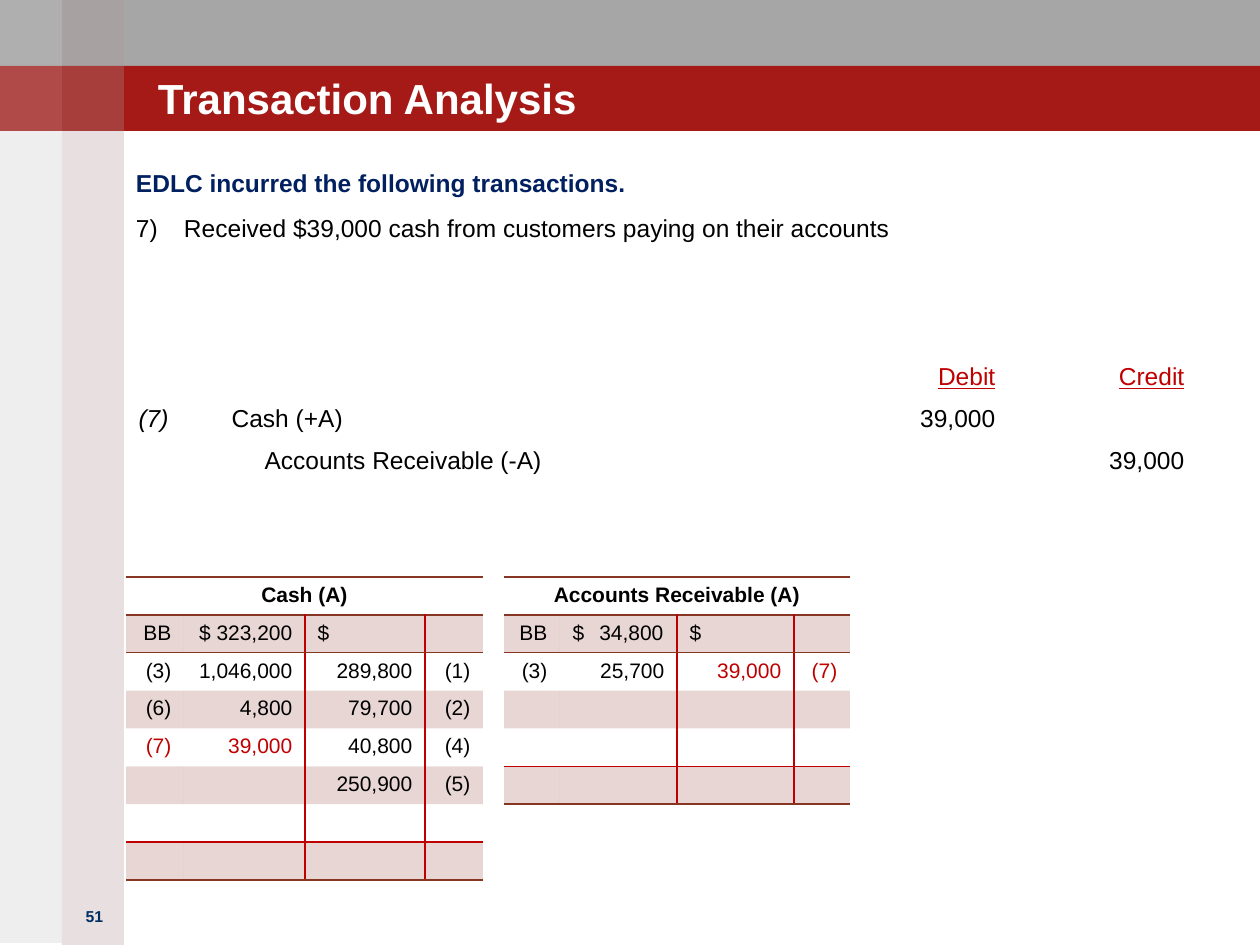
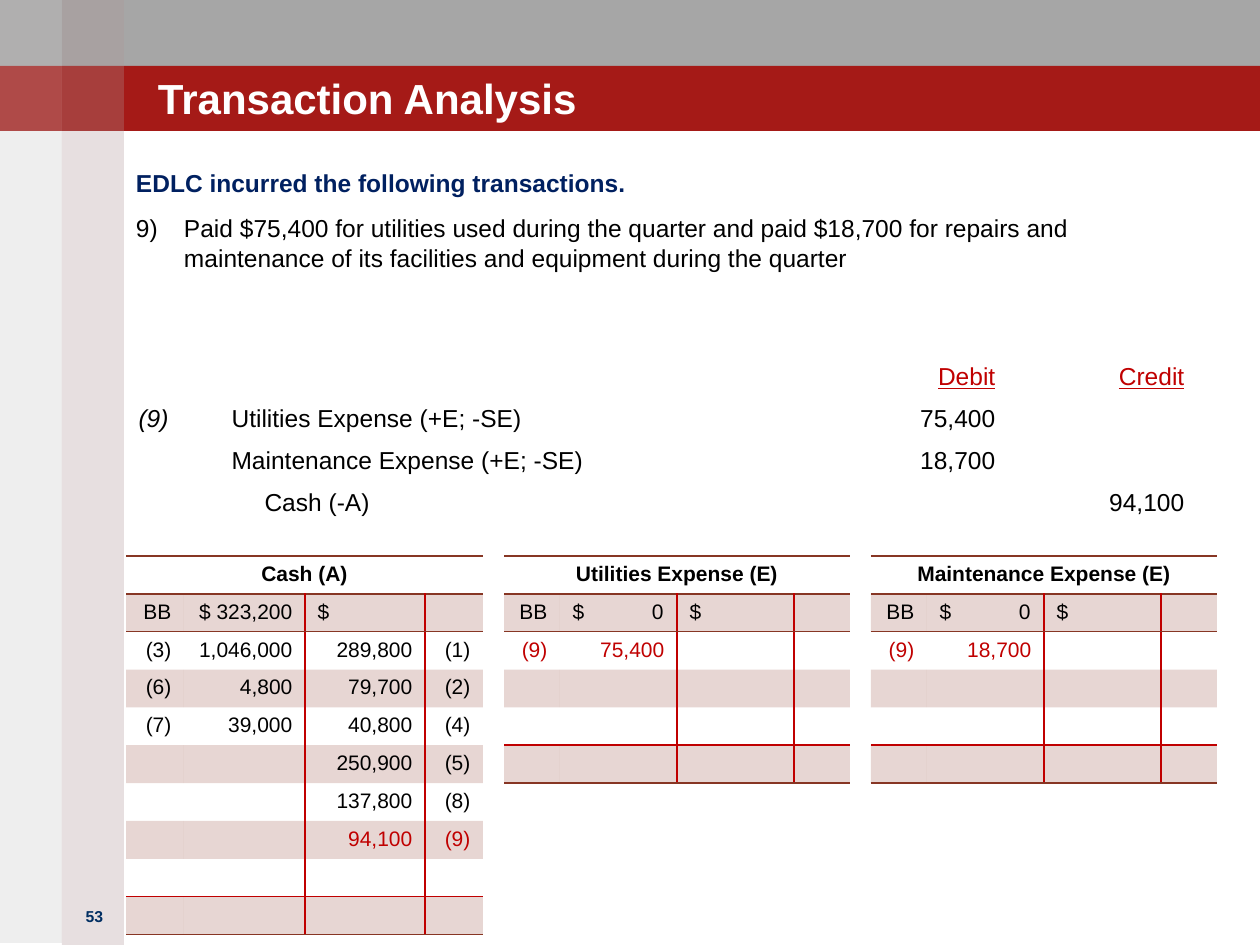
"""Builds two transaction-analysis slides with journal entries and T-accounts."""
from itertools import zip_longest

from lxml.etree import SubElement
from pptx import Presentation
from pptx.dml.color import RGBColor
from pptx.enum.shapes import MSO_SHAPE as Shape
from pptx.enum.text import MSO_ANCHOR as Anchor, MSO_AUTO_SIZE as AutoSize, PP_ALIGN as Align
from pptx.oxml.ns import qn
from pptx.util import Emu, Pt

COLORS = {
    "gray": "A6A6A6", "crimson": "A51A17", "mauve": "A08284", "ash": "938F8F",
    "white": "FFFFFF", "black": "000000", "navy": "002060", "number": "002E62",
    "red": "C00000", "brown": "873624",
}
FONT = "Arial"
TITLE = "Transaction Analysis"
INTRO = "EDLC incurred the following transactions."
PLAIN_STYLE = "{2D5ABB26-0587-4C30-8999-92F81FD0307C}"

BANDS = [
    ((0, 0, 1260, 66), "gray", 100),
    ((0, 66, 1260, 65), "crimson", 100),
    ((62, 0, 62, 945), "mauve", 25),
    ((0, 0, 62, 943), "ash", 15),
    ((62, 0, 62, 66), "white", 5),
    ((0, 0, 62, 66), "white", 15),
    ((62, 66, 62, 65), "white", 5),
    ((0, 66, 62, 65), "white", 15),
]
JOURNAL_COLS = (93, 631, 158, 189)
CASH_COLS = (58, 121, 120, 58)
ACCOUNT_COLS = (56, 117, 117, 56)
ACCOUNT_LEFTS = (126, 504, 871)
JOURNAL_ROW, ACCOUNT_ROW, MIN_ENTRIES = 40, 36, 3

CASH_IN = [("BB", "$ 323,200"), ("(3)", "1,046,000"), ("(6)", "4,800"), ("(7)", "39,000")]
CASH_OUT = [("", "$"), ("(1)", "289,800"), ("(2)", "79,700"), ("(4)", "40,800"), ("(5)", "250,900")]
SLIDES = [
    {
        "page": 51, "number": 7, "accounts_top": 577,
        "event": "Received $39,000 cash from customers paying on their accounts",
        "journal": [("Cash (+A)", "39,000", ""), ("Accounts Receivable (-A)", "", "39,000")],
        "accounts": [
            ("Cash (A)", CASH_COLS, CASH_IN, CASH_OUT),
            ("Accounts Receivable (A)", ACCOUNT_COLS,
             [("BB", "$\t34,800"), ("(3)", "25,700")], [("", "$"), ("(7)", "39,000")]),
        ],
    },
    {
        "page": 53, "number": 9, "accounts_top": 556,
        "event": "Paid $75,400 for utilities used during the quarter and paid $18,700 for repairs and "
                 "maintenance of its facilities and equipment during the quarter",
        "journal": [("Utilities Expense (+E; -SE)", "75,400", ""),
                    ("Maintenance Expense (+E; -SE)", "18,700", ""),
                    ("Cash (-A)", "", "94,100")],
        "accounts": [
            ("Cash (A)", CASH_COLS, CASH_IN, CASH_OUT + [("(8)", "137,800"), ("(9)", "94,100")]),
            ("Utilities Expense (E)", ACCOUNT_COLS,
             [("BB", "$\t0"), ("(9)", "75,400")], [("", "$")]),
            ("Maintenance Expense (E)", ACCOUNT_COLS,
             [("BB", "$\t0"), ("(9)", "18,700")], [("", "$")]),
        ],
    },
]


def px(n):
    return Emu(round(n * 914400 / 126))


def box(*lengths):
    return [px(n) for n in lengths]


def rgb(name):
    return RGBColor.from_string(COLORS[name])


def paint(fill, color, opacity=100):
    fill.solid()
    fill.fore_color.rgb = rgb(color)
    if opacity < 100:
        node = fill._xPr.find(qn("a:solidFill"))[0]
        SubElement(node, qn("a:alpha"), val=str(opacity * 1000))


def write(p, text, size, color="black", align=Align.LEFT, bold=False, italic=False, underline=False):
    p.text = text
    p.alignment = align
    for r in p.runs:
        f = r.font
        f.name, f.size, f.bold, f.italic, f.underline = FONT, Pt(size), bold, italic, underline
        f.color.rgb = rgb(color)
    if not text:
        SubElement(p._p, qn("a:endParaRPr"), sz=str(size * 100))


def indent(p, left, first=0):
    pPr = p._p.get_or_add_pPr()
    pPr.set("marL", str(px(left)))
    pPr.set("indent", str(px(first)))
    return pPr


def clear_margins(tf):
    tf.margin_left = tf.margin_right = tf.margin_top = tf.margin_bottom = 0


def add_bands(s, layout):
    tree = layout.shapes._spTree
    for i, (place, color, opacity) in enumerate(BANDS):
        sp = s.shapes.add_shape(Shape.RECTANGLE, *box(*place))
        sp.shadow.inherit = False
        paint(sp.fill, color, opacity)
        sp.line.fill.background()
        sp._element.nvSpPr.cNvPr.set("id", str(100 + i))
        tree.insert(2 + i, sp._element)


def add_text(s, data):
    tb = s.shapes.add_textbox(*box(63, 901, 63, 63))
    write(tb.text_frame.paragraphs[0], str(data["page"]), 9, "number", Align.CENTER, bold=True)

    title = s.shapes.title
    title.left, title.top, title.width, title.height = box(158, 39, 998, 84)
    tf = title.text_frame
    clear_margins(tf)
    tf.vertical_anchor, tf.auto_size, tf.word_wrap = Anchor.BOTTOM, AutoSize.NONE, True
    write(tf.paragraphs[0], TITLE, 24, "white", bold=True)

    tf = s.shapes.add_textbox(*box(136, 168, 1061, 735)).text_frame
    clear_margins(tf)
    tf.word_wrap = True
    intro, event = tf.paragraphs[0], tf.add_paragraph()
    write(intro, INTRO, 14, "navy", bold=True)
    write(event, data["event"], 14)
    for p in (intro, event):
        p.space_before, p.space_after = Pt(3), Pt(6)
    SubElement(indent(event, 48, -48), qn("a:buAutoNum"),
               type="arabicParenR", startAt=str(data["number"]))


def add_grid(s, left, top, cols, row_count, row_height):
    place = box(left, top, sum(cols), row_count * row_height)
    table = s.shapes.add_table(row_count, len(cols), *place).table
    table.first_row = table.horz_banding = False
    table._tbl.tblPr.find(qn("a:tableStyleId")).text = PLAIN_STYLE
    for col, width in zip(table.columns, cols):
        col.width = px(width)
    for row in table.rows:
        row.height = px(row_height)
        for cell in row.cells:
            cell.fill.background()
    return table


def add_journal(s, data):
    rows = [("", "", "Debit", "Credit")]
    for i, entry in enumerate(data["journal"]):
        rows.append(("" if i else f"({data['number']})", *entry))
    table = add_grid(s, 126, 357, JOURNAL_COLS, len(rows), JOURNAL_ROW)
    for r, row in enumerate(rows):
        for c, text in enumerate(row):
            p = table.cell(r, c).text_frame.paragraphs[0]
            write(p, text, 14, "black" if r else "red", Align.RIGHT if c > 1 else Align.LEFT,
                  italic=c == 0, underline=r == 0)
        if r and row[3]:
            indent(table.cell(r, 1).text_frame.paragraphs[0], 33)


def set_borders(cell, edges):
    tcPr = cell._tc.get_or_add_tcPr()
    drawn = [(side, color) for side, color in edges if color]
    for i, (side, color) in enumerate(drawn):
        ln = SubElement(tcPr, qn(f"a:ln{side}"), w=str(Pt(1)))
        SubElement(SubElement(ln, qn("a:solidFill")), qn("a:srgbClr"), val=COLORS[color])
        tcPr.insert(i, ln)


def account_edges(r, c, last):
    rules = {0: "brown", 1: "brown", last: "red", last + 1: "brown"}
    return [("L", "red" if r and c > 1 else None), ("R", "red" if r and c in (1, 2) else None),
            ("T", rules.get(r)), ("B", rules.get(r + 1))]


def add_account(s, left, top, account, current):
    name, cols, debits, credits = account
    entries = list(zip_longest(debits, credits, fillvalue=("", "")))
    last = max(MIN_ENTRIES, len(entries)) + 2
    entries += [(("", ""), ("", ""))] * (last - len(entries))
    table = add_grid(s, left, top, cols, last + 1, ACCOUNT_ROW)
    rows = [[(name, "")] + [("", "")] * 3]
    for (d_ref, debit), (c_ref, credit) in entries:
        rows.append([(d_ref, d_ref), (debit, d_ref), (credit, c_ref), (c_ref, c_ref)])
    for r, row in enumerate(rows):
        for c, (text, ref) in enumerate(row):
            cell = table.cell(r, c)
            p = cell.text_frame.paragraphs[0]
            left_aligned = text.startswith("$") and " " not in text
            align = Align.CENTER if r == 0 else Align.LEFT if left_aligned else Align.RIGHT
            write(p, text, 12, "red" if ref == current else "black", align, bold=r == 0)
            if "\t" in text:
                tabs = SubElement(p._p.get_or_add_pPr(), qn("a:tabLst"))
                SubElement(tabs, qn("a:tab"), pos=str(px(cols[c] - 26)), algn="r")
            if r % 2:
                paint(cell.fill, "brown", 20)
            set_borders(cell, account_edges(r, c, last))
    table.cell(0, 0).merge(table.cell(0, 3))


def main():
    prs = Presentation()
    prs.slide_width, prs.slide_height = box(1260, 945)
    layout = prs.slide_layouts[5]
    for i, data in enumerate(SLIDES):
        s = prs.slides.add_slide(layout)
        if i == 0:
            add_bands(s, layout)
        add_text(s, data)
        add_journal(s, data)
        for left, account in zip(ACCOUNT_LEFTS, data["accounts"]):
            add_account(s, left, data["accounts_top"], account, f"({data['number']})")
    prs.save("out.pptx")


if __name__ == "__main__":
    main()
